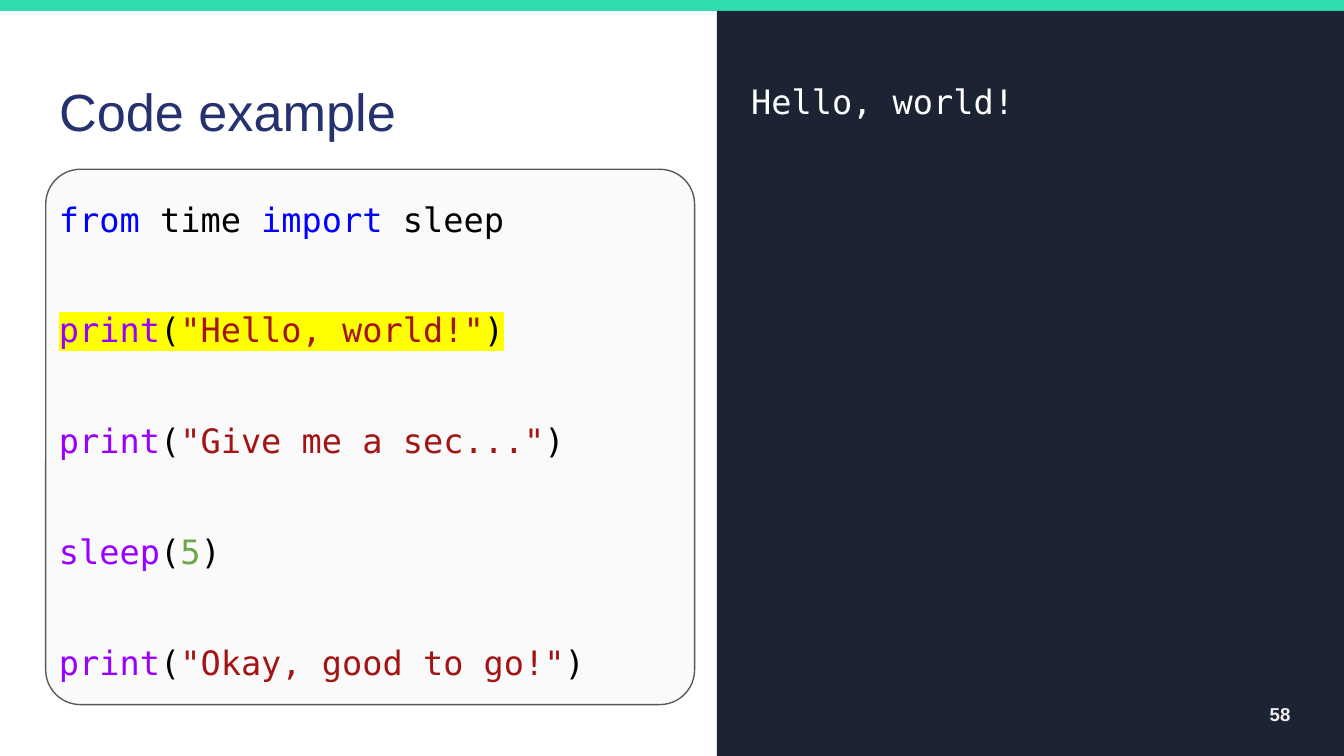
from dataclasses import dataclass

from lxml import etree
from pptx import Presentation
from pptx.dml.color import RGBColor
from pptx.enum import shapes, text
from pptx.oxml import ns
from pptx.util import Pt

WHITE = RGBColor(0xFF, 0xFF, 0xFF)
BLACK = RGBColor(0x00, 0x00, 0x00)
TEAL = RGBColor(0x30, 0xDD, 0xAE)
NAVY = RGBColor(0x1C, 0x23, 0x33)
INDIGO = RGBColor(0x25, 0x32, 0x6F)
PALE_GRAY = RGBColor(0xFA, 0xFA, 0xFA)
DARK_GRAY = RGBColor(0x59, 0x59, 0x59)
LIGHT_GRAY = RGBColor(0xEE, 0xEE, 0xEE)
KEYWORD = RGBColor(0x00, 0x00, 0xFF)
FUNCTION = RGBColor(0x99, 0x00, 0xFF)
STRING = RGBColor(0xA3, 0x15, 0x15)
NUMBER = RGBColor(0x6A, 0xA8, 0x4F)
HIGHLIGHT = RGBColor(0xFF, 0xFF, 0x00)

SANS = "Arial"
MONO = "DejaVu Sans Mono"
INSET = Pt(7.2)


@dataclass(frozen=True)
class Box:
    """Position and size in points."""
    left: float
    top: float
    width: float
    height: float

    def lengths(self):
        return Pt(self.left), Pt(self.top), Pt(self.width), Pt(self.height)


@dataclass(frozen=True)
class Token:
    text: str
    color: RGBColor = BLACK


@dataclass(frozen=True)
class CodeLine:
    tokens: tuple[Token, ...]
    highlighted: bool = False


def call(function: str, argument: Token, highlighted: bool = False) -> CodeLine:
    tokens = (Token(function, FUNCTION), Token("("), argument, Token(")"))
    return CodeLine(tokens, highlighted)


CODE = (
    CodeLine((Token("from", KEYWORD), Token(" time "),
              Token("import", KEYWORD), Token(" sleep"))),
    call("print", Token('"Hello, world!"', STRING), highlighted=True),
    call("print", Token('"Give me a sec..."', STRING)),
    call("sleep", Token("5", NUMBER)),
    call("print", Token('"Okay, good to go!"', STRING)),
)


def add_panel(slide, kind, box: Box, fill: RGBColor):
    shape = slide.shapes.add_shape(kind, *box.lengths())
    shape.shadow.inherit = False
    shape.fill.solid()
    shape.fill.fore_color.rgb = fill
    shape.line.fill.background()
    return shape


def prepare_frame(shape, anchor=text.MSO_ANCHOR.TOP):
    frame = shape.text_frame
    frame.word_wrap = True
    frame.auto_size = text.MSO_AUTO_SIZE.NONE
    frame.vertical_anchor = anchor
    frame.margin_left = frame.margin_right = INSET
    frame.margin_top = frame.margin_bottom = INSET
    return frame


def style_run(run, font: str, size: float, color: RGBColor, bold: bool = False) -> None:
    run.font.name = font
    run.font.size = Pt(size)
    run.font.bold = bold
    run.font.color.rgb = color


def highlight_run(run, color: RGBColor) -> None:
    properties = run.font._element
    highlight = etree.Element(ns.qn("a:highlight"))
    etree.SubElement(highlight, ns.qn("a:srgbClr"), val=str(color))
    properties.find(ns.qn("a:solidFill")).addnext(highlight)


def add_label(slide, box: Box, label: str, anchor=text.MSO_ANCHOR.TOP):
    frame = prepare_frame(slide.shapes.add_textbox(*box.lengths()), anchor)
    frame.text = label
    return frame.paragraphs[0]


def add_code(slide, box: Box, lines: tuple[CodeLine, ...]) -> None:
    frame = prepare_frame(slide.shapes.add_textbox(*box.lengths()))
    for index, line in enumerate(lines):
        paragraph = frame.add_paragraph() if index else frame.paragraphs[0]
        paragraph.line_spacing = 1.36
        paragraph.space_before = Pt(30 if index else 0)
        for token in line.tokens:
            run = paragraph.add_run()
            run.text = token.text
            style_run(run, MONO, 18, token.color)
            if line.highlighted:
                highlight_run(run, HIGHLIGHT)


def main() -> None:
    presentation = Presentation()
    presentation.slide_width = Pt(720)
    presentation.slide_height = Pt(405)
    slide = presentation.slides.add_slide(presentation.slide_layouts[5])

    # Title
    title = slide.shapes.title
    title.left, title.top, title.width, title.height = Box(24.5, 35.3, 671, 45.4).lengths()
    frame = prepare_frame(title)
    frame.text = "Code example"
    frame.paragraphs[0].alignment = text.PP_ALIGN.LEFT
    style_run(frame.paragraphs[0].runs[0], SANS, 28, INDIGO)

    # Top band and output panel
    rectangle = shapes.MSO_SHAPE.RECTANGLE
    add_panel(slide, rectangle, Box(0, 0, 720, 5.8), TEAL)
    add_panel(slide, rectangle, Box(384, 5.8, 336, 399.2), NAVY)

    # Code card
    card = add_panel(slide, shapes.MSO_SHAPE.ROUNDED_RECTANGLE,
                     Box(24.5, 90.7, 347.6, 286.8), PALE_GRAY)
    card.adjustments[0] = 0.065
    card.line.color.rgb = DARK_GRAY
    card.line.width = Pt(0.75)
    add_code(slide, Box(24.5, 91.4, 359, 285), CODE)

    # Program output
    output = add_label(slide, Box(395.3, 32.9, 320.4, 356.6), "Hello, world!")
    output.line_spacing = 1.15
    style_run(output.runs[0], MONO, 18, WHITE)

    # Slide number
    number = add_label(slide, Box(655.2, 367.2, 43.2, 31), "58", text.MSO_ANCHOR.MIDDLE)
    number.alignment = text.PP_ALIGN.RIGHT
    style_run(number.runs[0], SANS, 10, LIGHT_GRAY, bold=True)

    presentation.save("out.pptx")


if __name__ == "__main__":
    main()
